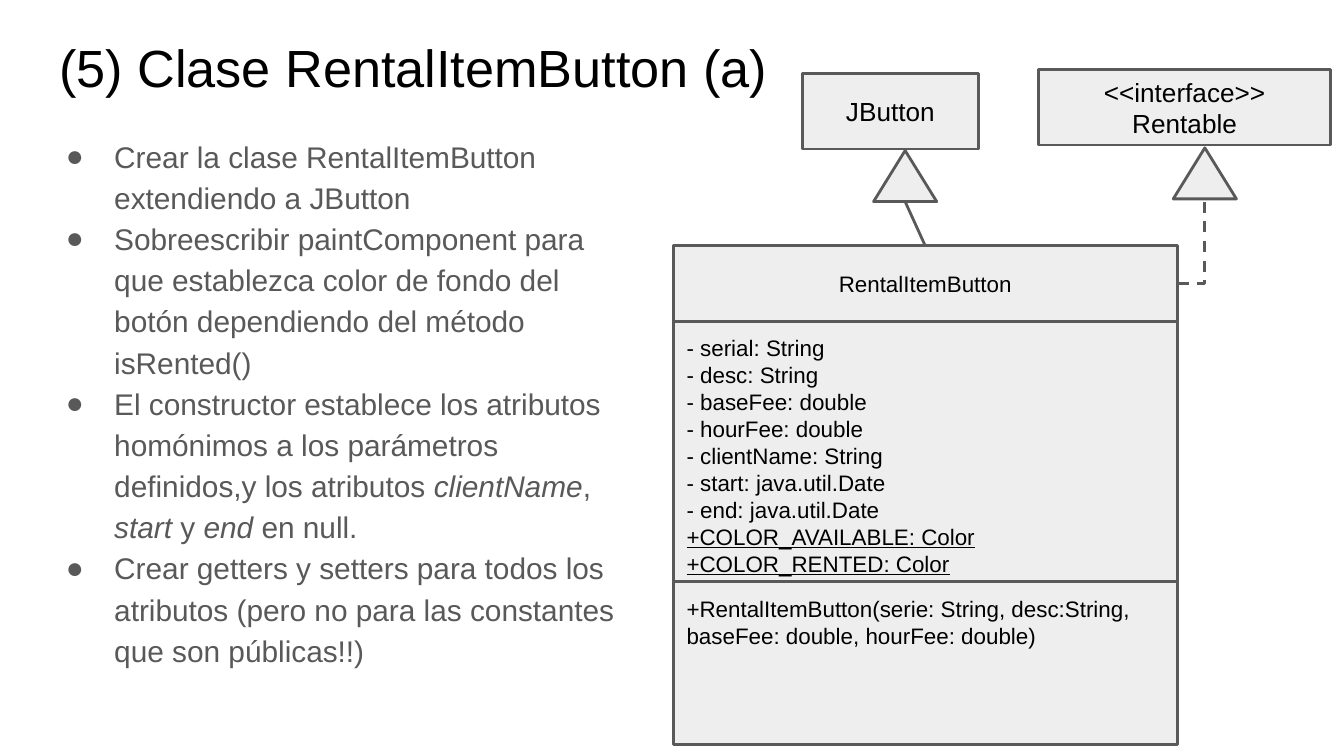
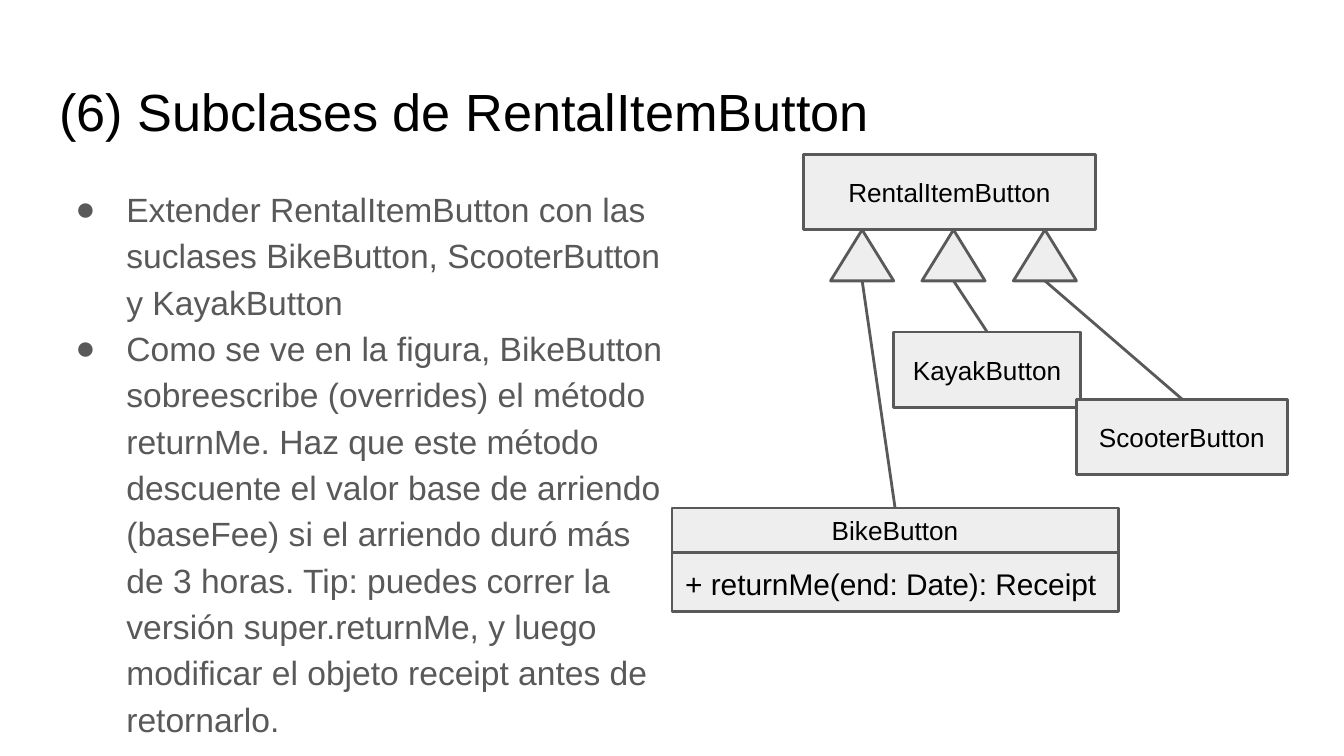
from lxml import etree
from pptx import Presentation
from pptx.dml.color import RGBColor
from pptx.enum.dml import MSO_LINE
from pptx.enum.shapes import MSO_CONNECTOR as CONN, MSO_SHAPE as SHAPE
from pptx.enum.text import MSO_ANCHOR as ANCHOR, MSO_AUTO_SIZE as AUTO, PP_ALIGN as ALIGN
from pptx.oxml.ns import qn
from pptx.util import Emu, Pt

PX = 9144  # 100 px to the inch
COLORS = {"ink": "000000", "gray": "595959", "fill": "EEEEEE"}
FONT = "Arial"
HEAD_H = 56
TRI_W, TRI_H = 47, 38
TRI_BASE, RECT_TOP, RECT_RIGHT = 3, 0, 3  # connection sites

# Content: a paragraph is a string or a list of (text, run style)
# boxes: key -> (x, y, w, h, paragraphs, size, is a name box)
# triangles: key -> (x, y); links: (triangle, box, box site)
SLIDES = [
    {
        "title": ("(5) Clase RentalItemButton (a)", 16),
        "body": (25, 89, 461, 465),
        "size": 16,
        "hang": 36,
        "bullets": [
            "Crear la clase RentalItemButton extendiendo a JButton",
            "Sobreescribir paintComponent para que establezca color de fondo "
            "del botón dependiendo del método isRented()",
            [("El constructor establece los atributos homónimos a los "
              "parámetros definidos,y los atributos ", ""),
             ("clientName", "italic"), (", ", ""), ("start", "italic"),
             (" y ", ""), ("end", "italic"), (" en null.", "")],
            "Crear getters y setters para todos los atributos "
            "(pero no para las constantes que son públicas!!)",
        ],
        "boxes": {
            "methods": (501, 433, 375, 121, [
                "+RentalItemButton(serie: String, desc:String, "
                "baseFee: double, hourFee: double)"], 12, False),
            "parent": (597, 55, 131, HEAD_H, ["JButton"], 14, True),
            "class": (501, 183, 375, HEAD_H, ["RentalItemButton"], 12, True),
            "interface": (773, 52, 217, HEAD_H,
                          ["<<interface>>", "Rentable"], 14, True),
            "attributes": (501, 239, 375, 194, [
                "- serial: String",
                "- desc: String",
                "- baseFee: double",
                "- hourFee: double",
                "- clientName: String",
                "- start: java.util.Date",
                "- end: java.util.Date",
                [("+COLOR_AVAILABLE: Color", "underline")],
                [("+COLOR_RENTED: Color", "underline")]], 12, False),
        },
        "triangles": {"extends": (650, 112), "implements": (873, 110)},
        "links": [("extends", "class", RECT_TOP),
                  ("implements", "class", RECT_RIGHT)],
    },
    {
        "title": ("(6) Subclases de RentalItemButton", 49),
        "body": (34, 126, 479, 374),
        "size": 18,
        "hang": 38,
        "bullets": [
            "Extender RentalItemButton con las suclases BikeButton, "
            "ScooterButton y KayakButton",
            "Como se ve en la figura, BikeButton sobreescribe (overrides) el "
            "método returnMe. Haz que este método descuente el valor base de "
            "arriendo (baseFee) si el arriendo duró más de 3 horas. Tip: "
            "puedes correr la versión super.returnMe, y luego modificar el "
            "objeto receipt antes de retornarlo.",
        ],
        "boxes": {
            "parent": (598, 115, 217, HEAD_H, ["RentalItemButton"], 14, True),
            "bike": (500, 378, 332, 33, ["BikeButton"], 14, True),
            "kayak": (665, 247, 139, HEAD_H, ["KayakButton"], 14, True),
            "scooter": (801, 297, 157, HEAD_H, ["ScooterButton"], 14, True),
            "methods": (500, 411, 332, 44,
                        ["+ returnMe(end: Date): Receipt"], 16, False),
        },
        "triangles": {key: (618 + 68 * i, 171)
                      for i, key in enumerate(("to bike", "to kayak", "to scooter"))},
        "links": [("to " + key, key, RECT_TOP)
                  for key in ("bike", "kayak", "scooter")],
    },
]


def rgb(name):
    return RGBColor.from_string(COLORS[name])


def px(*values):
    return [Emu(round(v * PX)) for v in values]


def add_bullet(p, hang):
    pPr = p._p.get_or_add_pPr()
    pPr.set("marL", str(50 * PX))
    pPr.set("indent", str(-hang * PX))
    color = etree.SubElement(pPr, qn("a:buClr"))
    etree.SubElement(color, qn("a:srgbClr"), val=COLORS["gray"])
    etree.SubElement(pPr, qn("a:buFont"), typeface=FONT)
    etree.SubElement(pPr, qn("a:buChar"), char="●")


def put_text(sp, paragraphs, size, color="ink", align=ALIGN.LEFT,
             anchor=ANCHOR.TOP, spacing=1.0, hang=0):
    tf = sp.text_frame
    tf.word_wrap = True
    tf.auto_size = AUTO.NONE
    tf.vertical_anchor = anchor
    tf.margin_left = tf.margin_right = tf.margin_top = tf.margin_bottom = 10 * PX
    for i, runs in enumerate(paragraphs):
        p = tf.add_paragraph() if i else tf.paragraphs[0]
        p.alignment = align
        p.line_spacing = spacing
        p.space_before = p.space_after = Pt(0)
        if hang:
            add_bullet(p, hang)
        for text, style in [(runs, "")] if isinstance(runs, str) else runs:
            r = p.add_run()
            r.text = text
            r.font.name = FONT
            r.font.size = Pt(size)
            r.font.color.rgb = rgb(color)
            if style:
                setattr(r.font, style, True)


def place(sp, x, y, w, h):
    sp.left, sp.top, sp.width, sp.height = px(x, y, w, h)


def style_line(sp):
    sp.line.color.rgb = rgb("gray")
    sp.line.width = Pt(1.5)


def add_block(s, kind, x, y, w, h):
    sp = s.shapes.add_shape(kind, *px(x, y, w, h))
    sp.shadow.inherit = False
    sp.fill.solid()
    sp.fill.fore_color.rgb = rgb("fill")
    style_line(sp)
    return sp


def add_link(s, triangle, box, site):
    elbow = site == RECT_RIGHT
    line = s.shapes.add_connector(CONN.ELBOW if elbow else CONN.STRAIGHT, 0, 0, 0, 0)
    ends = [(triangle, TRI_BASE), (box, site)]
    start, end = reversed(ends) if elbow else ends
    line.begin_connect(*start)
    line.end_connect(*end)
    # Connection sites default to the rectangle's, so set both ends exactly
    base = triangle.left + triangle.width // 2, triangle.top + triangle.height
    if elbow:
        line.begin_x, line.begin_y = box.left + box.width, box.top + box.height // 2
        line.end_x, line.end_y = base
    else:
        line.begin_x, line.begin_y = base
        line.end_x, line.end_y = box.left + box.width // 2, box.top
    style_line(line)
    spPr = line._element.spPr
    if elbow:
        spPr.find(qn("a:prstGeom")).set("prst", "bentConnector2")
        line.line.dash_style = MSO_LINE.DASH
    etree.SubElement(spPr, qn("a:effectLst"))


def build_slide(prs, data):
    s = prs.slides.add_slide(prs.slide_layouts[1])

    # Title and bullet list
    title, top = data["title"]
    place(s.shapes.title, 34, top, 932, 63)
    put_text(s.shapes.title, [title], 28)
    body = s.placeholders[1]
    place(body, *data["body"])
    put_text(body, data["bullets"], data["size"], color="gray",
             spacing=1.15, hang=data["hang"])

    # Class diagram
    boxes = {}
    for key, (x, y, w, h, lines, size, is_name) in data["boxes"].items():
        boxes[key] = add_block(s, SHAPE.RECTANGLE, x, y, w, h)
        put_text(boxes[key], lines, size,
                 align=ALIGN.CENTER if is_name else ALIGN.LEFT,
                 anchor=ANCHOR.MIDDLE if is_name else ANCHOR.TOP)
    triangles = {key: add_block(s, SHAPE.ISOSCELES_TRIANGLE, x, y, TRI_W, TRI_H)
                 for key, (x, y) in data["triangles"].items()}
    for triangle, box, site in data["links"]:
        add_link(s, triangles[triangle], boxes[box], site)


def main():
    prs = Presentation()
    prs.slide_width, prs.slide_height = px(1000, 562.5)
    for data in SLIDES:
        build_slide(prs, data)
    prs.save("out.pptx")


if __name__ == "__main__":
    main()
